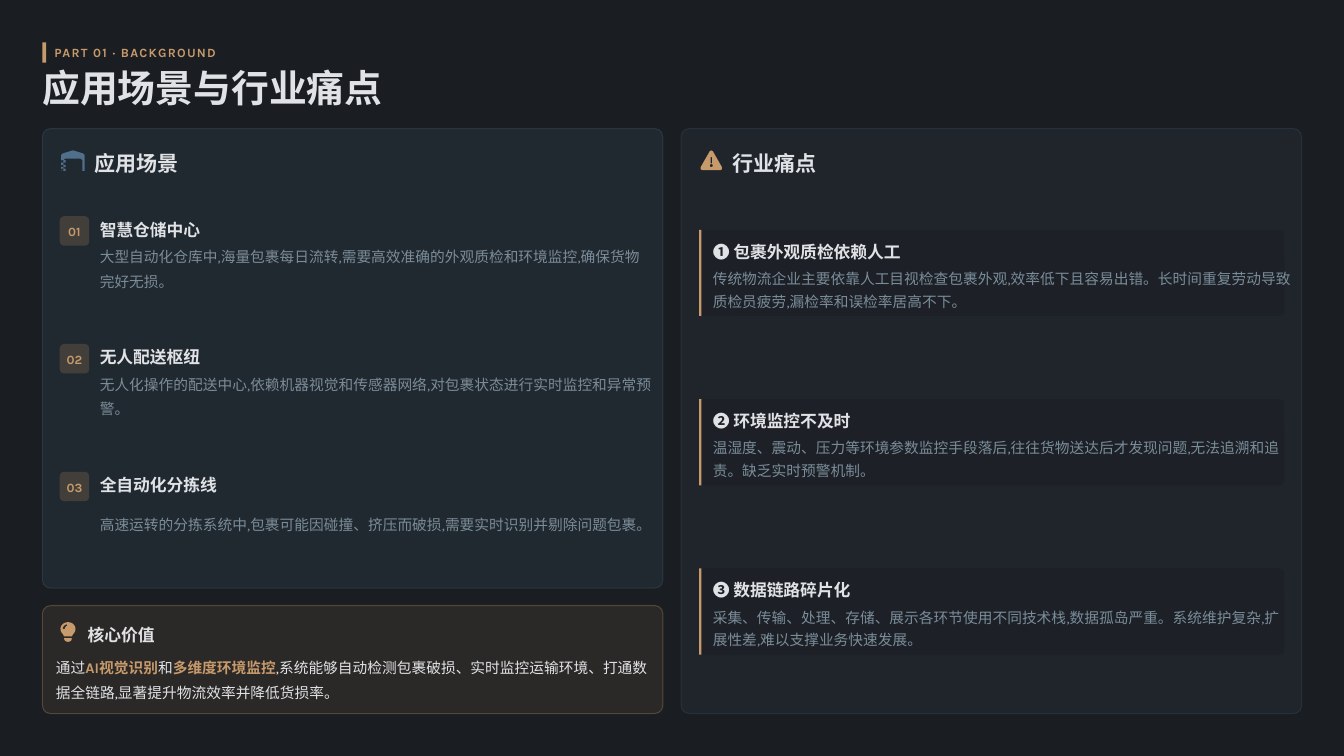
"""Build the slide on application scenarios and industry pain points."""
from dataclasses import dataclass
from math import cos, radians, sin

from lxml.etree import SubElement
from pptx import Presentation
from pptx.dml.color import RGBColor
from pptx.enum.shapes import MSO_SHAPE as Shape
from pptx.enum.text import MSO_ANCHOR as Anchor, PP_ALIGN as Align
from pptx.oxml.ns import qn
from pptx.util import Inches, Pt

BACKGROUND, WHITE, GREY = "1A1D21", "E0E2E5", "7A8C99"
GOLD, BLUE = "C79A6B", "4F6F8C"
LATIN, CJK = "Karla", "Noto Sans CJK SC"

SCENARIOS = [
    ("智慧仓储中心", "大型自动化仓库中,海量包裹每日流转,需要高效准确的外观质检和环境监控,确保货物完好无损。"),
    ("无人配送枢纽", "无人化操作的配送中心,依赖机器视觉和传感器网络,对包裹状态进行实时监控和异常预警。"),
    ("全自动化分拣线", "高速运转的分拣系统中,包裹可能因碰撞、挤压而破损,需要实时识别并剔除问题包裹。"),
]
PAIN_POINTS = [
    ("❶ 包裹外观质检依赖人工",
     "传统物流企业主要依靠人工目视检查包裹外观,效率低下且容易出错。长时间重复劳动导致质检员疲劳,漏检率和误检率居高不下。"),
    ("❷ 环境监控不及时",
     "温湿度、震动、压力等环境参数监控手段落后,往往货物送达后才发现问题,无法追溯和追责。缺乏实时预警机制。"),
    ("❸ 数据链路碎片化",
     "采集、传输、处理、存储、展示各环节使用不同技术栈,数据孤岛严重。系统维护复杂,扩展性差,难以支撑业务快速发展。"),
]
CORE_VALUE = [
    ("通过", False), ("AI视觉识别", True), ("和", False), ("多维度环境监控", True),
    (",系统能够自动检测包裹破损、实时监控运输环境、打通数据全链路,显著提升物流效率并降低货损率。", False),
]


def rgb(value):
    return RGBColor.from_string(value)


def paint(fill, color, opacity=100):
    fill.solid()
    fill.fore_color.rgb = rgb(color)
    if opacity < 100:
        color_element = fill._xPr.find(qn("a:solidFill"))[0]
        SubElement(color_element, qn("a:alpha"), val=str(opacity * 1000))


def arc(x, y, radius_x, radius_y, start, end, steps=16):
    angles = [radians(start + (end - start) * i / steps) for i in range(steps + 1)]
    return [(x + radius_x * cos(angle), y + radius_y * sin(angle)) for angle in angles]


def box(left, top, right, bottom):
    return [(left, top), (right, top), (right, bottom), (left, bottom)]


@dataclass
class Canvas:
    slide: object
    latin: str = LATIN
    east_asian: str = CJK

    def block(self, left, top, width, height, color, opacity=100, radius=0, line_opacity=0):
        kind = Shape.ROUNDED_RECTANGLE if radius else Shape.RECTANGLE
        shape = self.slide.shapes.add_shape(
            kind, Inches(left), Inches(top), Inches(width), Inches(height))
        if radius:
            shape.adjustments[0] = radius / min(width, height)
        shape.shadow.inherit = False
        paint(shape.fill, color, opacity)
        if line_opacity:
            shape.line.width = Pt(1)
            paint(shape.line.fill, color, line_opacity)
        else:
            shape.line.fill.background()
        return shape

    def icon(self, color, *contours):
        first, *others = [[(Inches(x), Inches(y)) for x, y in contour] for contour in contours]
        builder = self.slide.shapes.build_freeform(*first[0], scale=1.0)
        builder.add_line_segments(first[1:])
        for contour in others:
            builder.move_to(*contour[0])
            builder.add_line_segments(contour[1:])
        shape = builder.convert_to_shape()
        shape.shadow.inherit = False
        paint(shape.fill, color)
        shape.line.fill.background()

    def set_text(self, frame, text, size, color, bold, spacing, font=None, tracking=0):
        frame.margin_left = frame.margin_top = frame.margin_right = frame.margin_bottom = 0
        frame.vertical_anchor = Anchor.MIDDLE
        paragraph = frame.paragraphs[0]
        paragraph.line_spacing = spacing
        runs = [(text, False)] if isinstance(text, str) else text
        for content, strong in runs:
            run = paragraph.add_run()
            run.text = content
            if len(runs) > 1:
                run.font.bold = strong
                run.font.color.rgb = rgb(GOLD if strong else color)
        paragraph.font.size = Pt(size)
        paragraph.font.name = font or self.latin
        if len(runs) == 1:
            paragraph.font.bold = bold
            paragraph.font.color.rgb = rgb(color)
        properties = paragraph._p.pPr.find(qn("a:defRPr"))
        SubElement(properties, qn("a:ea"), typeface=self.east_asian)
        if tracking:
            properties.set("spc", str(int(tracking * 100)))
        return paragraph

    def text(self, left, top, width, height, text, size, color=WHITE, bold=True,
             spacing=1.3, **style):
        frame = self.slide.shapes.add_textbox(
            Inches(left), Inches(top), Inches(width), Inches(height)).text_frame
        frame.word_wrap = True
        self.set_text(frame, text, size, color, bold, spacing, **style)

    def badge(self, left, top, label):
        frame = self.block(left, top, 0.39, 0.39, GOLD, 20, 0.06).text_frame
        self.set_text(frame, label, 12, GOLD, True, 1.1).alignment = Align.CENTER

    def scenario(self, top, number, title, body):
        self.badge(0.79, top, f"{number:02d}")
        self.text(1.32, top - 0.03, 7.33, 0.33, title, 16)
        self.text(1.32, top + 0.33, 7.32, 0.64, body, 14, GREY, False, 1.4)

    def pain_point(self, top, title, body):
        self.block(9.25, top, 7.74, 1.14, BACKGROUND, 40, 0.06)
        self.block(9.25, top, 0.03, 1.14, GOLD)
        self.text(9.43, top + 0.08, 7.67, 0.33, title, 16)
        self.text(9.43, top + 0.47, 7.65, 0.58, body, 14, GREY, False)


def main():
    presentation = Presentation()
    presentation.slide_width, presentation.slide_height = Inches(17.78), Inches(10)
    slide = presentation.slides.add_slide(presentation.slide_layouts[6])
    paint(slide.background.fill, BACKGROUND)
    canvas = Canvas(slide)

    canvas.block(0.56, 0.56, 0.05, 0.27, GOLD)
    canvas.text(0.72, 0.58, 2.39, 0.22, "PART 01 · BACKGROUND", 12, GOLD,
                spacing=1.1, tracking=1.2)
    canvas.text(0.56, 0.92, 16.92, 0.56, "应用场景与行业痛点", 36, spacing=0.9, font=CJK)

    canvas.block(0.56, 1.7, 8.21, 6.08, BLUE, 15, 0.11, 25)
    roof = [(0.81, 2.26), (0.81, 2.05), (0.83, 2.03), (0.96, 1.99), (0.97, 1.99),
            (1.1, 2.03), (1.12, 2.05), (1.12, 2.26), (1.09, 2.26), (1.09, 2.12),
            (1.07, 2.1), (0.86, 2.1), (0.84, 2.12), (0.84, 2.26)]
    shelves = [box(0.81, y, 0.87, y + 0.03) for y in (2.12, 2.18, 2.23)]
    canvas.icon(BLUE, roof, *shelves)
    canvas.text(1.25, 1.93, 1.25, 0.39, "应用场景", 20, spacing=1.2)
    for index, (title, body) in enumerate(SCENARIOS):
        canvas.scenario(2.86 + 1.69 * index, index + 1, title, body)

    canvas.block(0.56, 8.01, 8.21, 1.43, GOLD, 10, 0.11, 30)
    canvas.icon(GOLD,
                arc(0.9, 8.32, 0.1, 0.09, 135, 405) + [(0.95, 8.42), (0.85, 8.42)],
                [(0.85, 8.44), (0.94, 8.44)] + arc(0.9, 8.45, 0.05, 0.04, 0, 180),
                arc(0.89, 8.32, 0.06, 0.06, 180, 270) + arc(0.89, 8.32, 0.03, 0.04, 270, 180))
    canvas.text(1.16, 8.19, 1, 0.33, "核心价值", 16)
    canvas.text(0.74, 8.63, 7.96, 0.64, CORE_VALUE, 14, spacing=1.4)

    canvas.block(9.01, 1.7, 8.21, 7.74, BLUE, 10, 0.11, 20)
    triangle = [(9.39, 2), (9.41, 1.99), (9.43, 2), (9.55, 2.21), (9.55, 2.24),
                (9.53, 2.25), (9.29, 2.25), (9.27, 2.24), (9.27, 2.21)]
    canvas.icon(GOLD, triangle, box(9.4, 2.08, 9.42, 2.16),
                arc(9.41, 2.19, 0.02, 0.02, 0, 360))
    canvas.text(9.69, 1.93, 1.25, 0.39, "行业痛点", 20, spacing=1.2)
    for index, (title, body) in enumerate(PAIN_POINTS):
        canvas.pain_point(3.04 + 2.24 * index, title, body)

    presentation.save("out.pptx")


if __name__ == "__main__":
    main()
